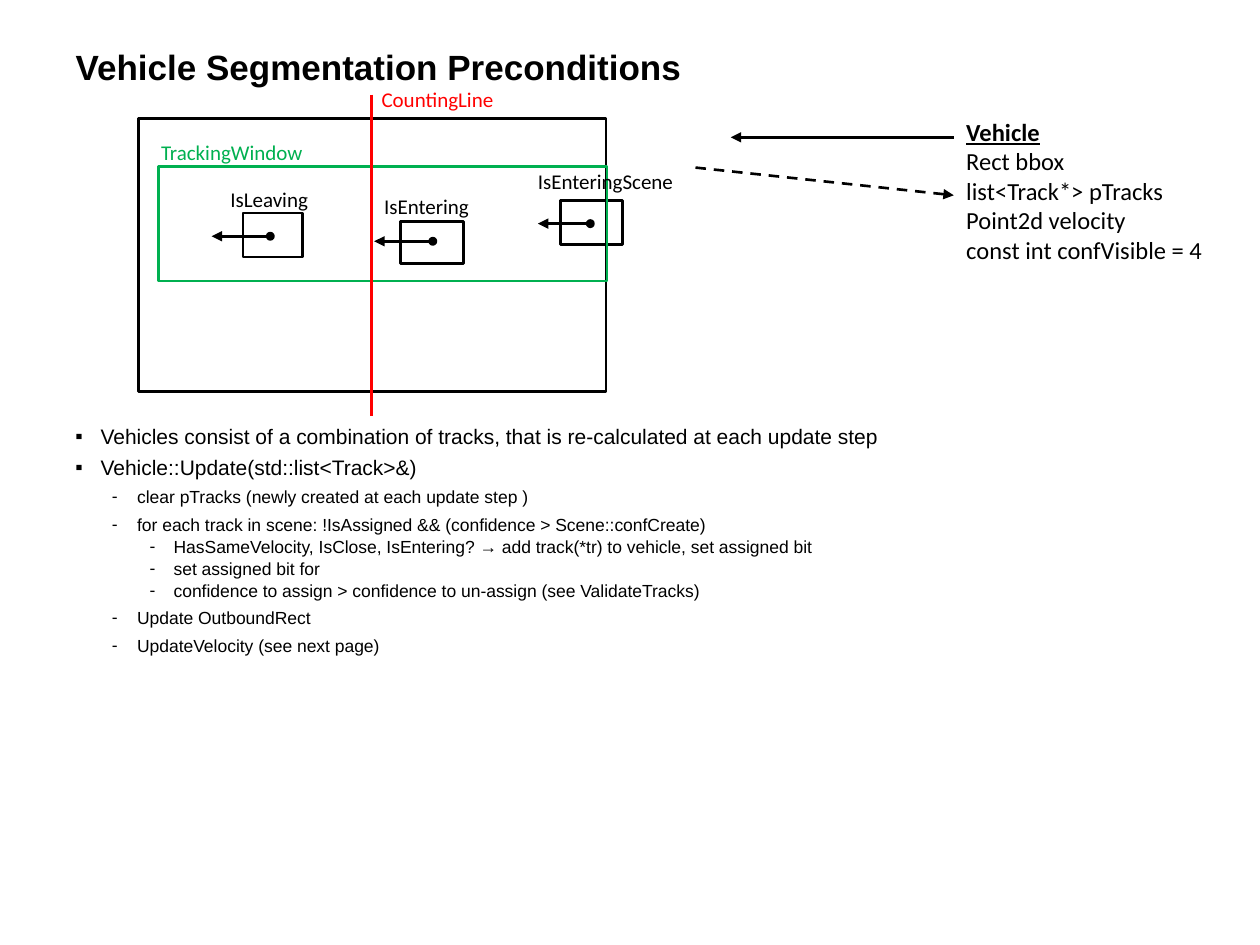
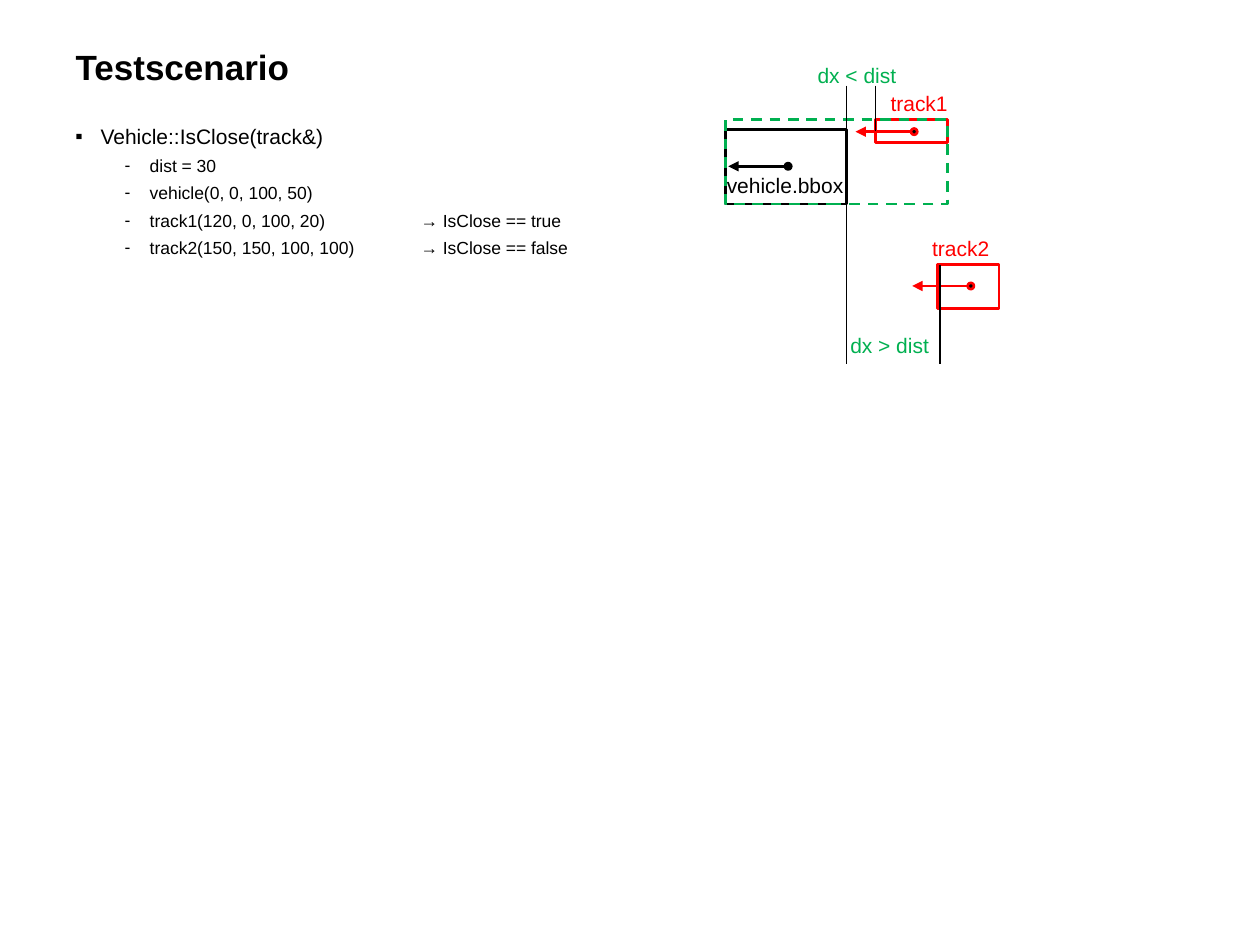
import pptx
import pptx.util
import pptx.dml.color
import pptx.enum.dml
import pptx.enum.shapes
import pptx.enum.text
import pptx.oxml
import pptx.oxml.ns
from dataclasses import dataclass
from lxml import etree

Pt, qn = pptx.util.Pt, pptx.oxml.ns.qn
SHAPE = pptx.enum.shapes.MSO_SHAPE
ALIGN = pptx.enum.text.PP_ALIGN
ANCHOR = pptx.enum.text.MSO_ANCHOR
FIT = pptx.enum.text.MSO_AUTO_SIZE


@dataclass(frozen=True)
class Theme:
    black: str = "000000"
    red: str = "FF0000"
    green: str = "00B050"
    sans: str = "Arial"
    label: str = "Calibri"
    title: int = 20
    member: int = 14
    body: int = 12
    detail: int = 10
    stroke: float = 1.5
    hairline: float = 0.75


T = Theme()

# All positions are columns and rows of a square grid, 100 columns per slide
COLUMNS = 100
WIDTH, HEIGHT = pptx.util.Inches(10), pptx.util.Inches(7.5)
TITLE_BOX = (5, 3, 90, 4.6)
DOT = 0.5
LABEL_HEIGHT = 3

# Content: bullets are (level, text)
PRECONDITIONS = dict(
    title="Vehicle Segmentation Preconditions",
    body_box=(5, 33, 90, 42),
    indents=((2, 2), (4.9, 2), (7.8, 1.9)),
    label_font=T.label,
    bullets=[
        (0, "Vehicles consist of a combination of tracks, that is re-calculated at each update step"),
        (0, "Vehicle::Update(std::list<Track>&)"),
        (1, "clear pTracks (newly created at each update step )"),
        (1, "for each track in scene: !IsAssigned && (confidence > Scene::confCreate)"),
        (2, "HasSameVelocity, IsClose, IsEntering? → add track(*tr) to vehicle, set assigned bit"),
        (2, "set assigned bit for"),
        (2, "confidence to assign > confidence to un-assign (see ValidateTracks)"),
        (1, "Update OutboundRect"),
        (1, "UpdateVelocity (see next page)"),
    ],
    # box, colour, dashed
    frames=[((11, 9.4, 37.1, 21.7), T.black, False),
            ((44.5, 15.9, 4.9, 3.5), T.black, False),
            ((31.8, 17.6, 5, 3.3), T.black, False),
            ((19.3, 16.9, 4.7, 3.5), T.black, False),
            ((12.6, 13.2, 35.6, 9.1), T.green, False)],
    # dot left, centre row, arrow tip, colour
    motions=[(46.6, 17.75, 42.7, T.black),
             (34.1, 19.15, 29.7, T.black),
             (21.2, 18.75, 16.8, T.black)],
    # start, end, format
    lines=[((29.5, 7.5), (29.5, 33), dict(color=T.red)),
           ((55.2, 13.3), (75.7, 15.5), dict(dashed=True, arrow=True)),
           ((75.7, 10.9), (58, 10.9), dict(arrow=True))],
    # text, left, top, width, colour
    labels=[("IsEnteringScene", 41.7, 12.9, 12.9, T.black),
            ("IsEntering", 29.5, 14.9, 8.8, T.black),
            ("IsLeaving", 17.3, 14.3, 8.2, T.black),
            ("TrackingWindow", 11.8, 10.6, 13.4, T.green),
            ("CountingLine", 29.3, 6.4, 11, T.red)],
)

VEHICLE_BOX = (75.7, 8.8, 20.8, 15.1)
VEHICLE = ["Vehicle", "Rect bbox", "list<Track*> pTracks", "Point2d velocity",
           "const int confVisible = 4"]

SCENARIO = dict(
    title="Testscenario",
    body_box=(5, 9.2, 46.6, 57.8),
    indents=((2, 2), (5.9, 2)),
    tab=27.4,
    label_font=T.sans,
    bullets=[
        (0, "Vehicle::IsClose(track&)"),
        (1, "dist = 30"),
        (1, "vehicle(0, 0, 100, 50)"),
        (1, "track1(120, 0, 100, 20)\t→ IsClose == true"),
        (1, "track2(150, 150, 100, 100)\t→ IsClose == false"),
    ],
    frames=[((57.6, 10.3, 9.6, 5.9), T.black, False),
            ((74.4, 21, 4.9, 3.5), T.red, False),
            ((69.5, 9.5, 5.7, 1.8), T.red, False),
            ((57.6, 9.5, 17.6, 6.7), T.green, True)],
    motions=[(62.3, 13.2, 57.8, T.black),
             (76.8, 22.7, 72.4, T.red),
             (72.3, 10.45, 67.9, T.red)],
    lines=[((67.2, 6.8), (67.2, 28.9), dict(width=T.hairline)),
           ((69.5, 6.8), (69.5, 10.4), dict(width=T.hairline)),
           ((74.6, 21), (74.6, 28.9), dict(width=T.hairline))],
    labels=[("vehicle.bbox", 56.7, 13.2, 11.3, T.black),
            ("track1", 69.7, 6.7, 6.6, T.red),
            ("track2", 73, 18.2, 6.6, T.red),
            ("dx < dist", 63.9, 4.5, 8.3, T.green),
            ("dx > dist", 66.5, 25.9, 8.3, T.green)],
)


# Helpers
def grid(*cells):
    return [round(c * WIDTH / COLUMNS) for c in cells]


def rgb(color):
    return pptx.dml.color.RGBColor.from_string(color)


def write(p, text, size=T.body, font=T.sans, color=T.black, bold=False, underline=False):
    r = p.add_run()
    r.text = text
    f = r.font
    f.size, f.name, f.bold, f.underline = Pt(size), font, bold, underline
    f.color.rgb = rgb(color)
    p.alignment = ALIGN.LEFT


def textbox(s, box, wrap=True, fit=FIT.SHAPE_TO_FIT_TEXT):
    tf = s.shapes.add_textbox(*grid(*box)).text_frame
    tf.word_wrap, tf.auto_size = wrap, fit
    return tf


def paragraphs(tf, count):
    return [tf.paragraphs[0]] + [tf.add_paragraph() for _ in range(count - 1)]


def outline(sp, color, width=T.stroke, dashed=False):
    sp.line.color.rgb, sp.line.width = rgb(color), Pt(width)
    if dashed:
        sp.line.dash_style = pptx.enum.dml.MSO_LINE.DASH


def shape(s, kind, box, color, fill=None, dashed=False):
    sp = s.shapes.add_shape(kind, *grid(*box))
    sp.shadow.inherit = False
    if fill:
        sp.fill.solid()
        sp.fill.fore_color.rgb = rgb(fill)
    else:
        sp.fill.background()
    outline(sp, color, dashed=dashed)


def line(s, start, end, color=T.black, width=T.stroke, dashed=False, arrow=False):
    cx = s.shapes.add_connector(pptx.enum.shapes.MSO_CONNECTOR.STRAIGHT, *grid(*start, *end))
    outline(cx, color, width, dashed)
    if arrow:
        etree.SubElement(cx.line._get_or_add_ln(), qn("a:tailEnd"), type="triangle")
    etree.SubElement(cx._element.spPr, qn("a:effectLst"))


def bullet(p, level, indents, tab=None):
    left, hanging = grid(*indents[level])
    pPr = p._p.get_or_add_pPr()
    pPr.set("marL", str(left))
    pPr.set("indent", str(-hanging))
    p.level = level
    p.line_spacing = 1.05
    p.space_before = Pt(0 if level == 2 else 3)
    etree.SubElement(pPr, qn("a:buFont"), typeface=T.sans)
    etree.SubElement(pPr, qn("a:buChar"), char="-" if level else "▪")
    if tab:
        tabs = etree.SubElement(pPr, qn("a:tabLst"))
        etree.SubElement(tabs, qn("a:tab"), pos=str(grid(tab)[0]), algn="l")


def build(prs, data):
    s = prs.slides.add_slide(prs.slide_layouts[5])

    # Title
    title = s.shapes.title
    title.left, title.top, title.width, title.height = grid(*TITLE_BOX)
    title.text_frame.vertical_anchor = ANCHOR.MIDDLE
    write(title.text_frame.paragraphs[0], data["title"], size=T.title, bold=True)

    # Bullets
    tf = textbox(s, data["body_box"], fit=FIT.NONE)
    for p, (level, text) in zip(paragraphs(tf, len(data["bullets"])), data["bullets"]):
        bullet(p, level, data["indents"], data.get("tab") if "\t" in text else None)
        write(p, text, size=T.detail if level else T.body)

    # Diagram
    for box, color, dashed in data["frames"]:
        shape(s, SHAPE.RECTANGLE, box, color, dashed=dashed)
    for left, row, tip, color in data["motions"]:
        shape(s, SHAPE.OVAL, (left, row - DOT / 2, DOT, DOT), color, fill=T.black)
        line(s, (left, row), (tip, row), color=color, arrow=True)
    for start, end, style in data["lines"]:
        line(s, start, end, **style)
    for text, left, top, width, color in data["labels"]:
        tf = textbox(s, (left, top, width, LABEL_HEIGHT), wrap=False)
        write(tf.paragraphs[0], text, font=data["label_font"], color=color)
    return s


# Slides
prs = pptx.Presentation()
prs.slide_width, prs.slide_height = WIDTH, HEIGHT

s = build(prs, PRECONDITIONS)
members = paragraphs(textbox(s, VEHICLE_BOX), len(VEHICLE))
for i, (p, text) in enumerate(zip(members, VEHICLE)):
    write(p, text, size=T.member, font=T.label, bold=i == 0, underline=i == 0)

build(prs, SCENARIO)
prs.save("out.pptx")
